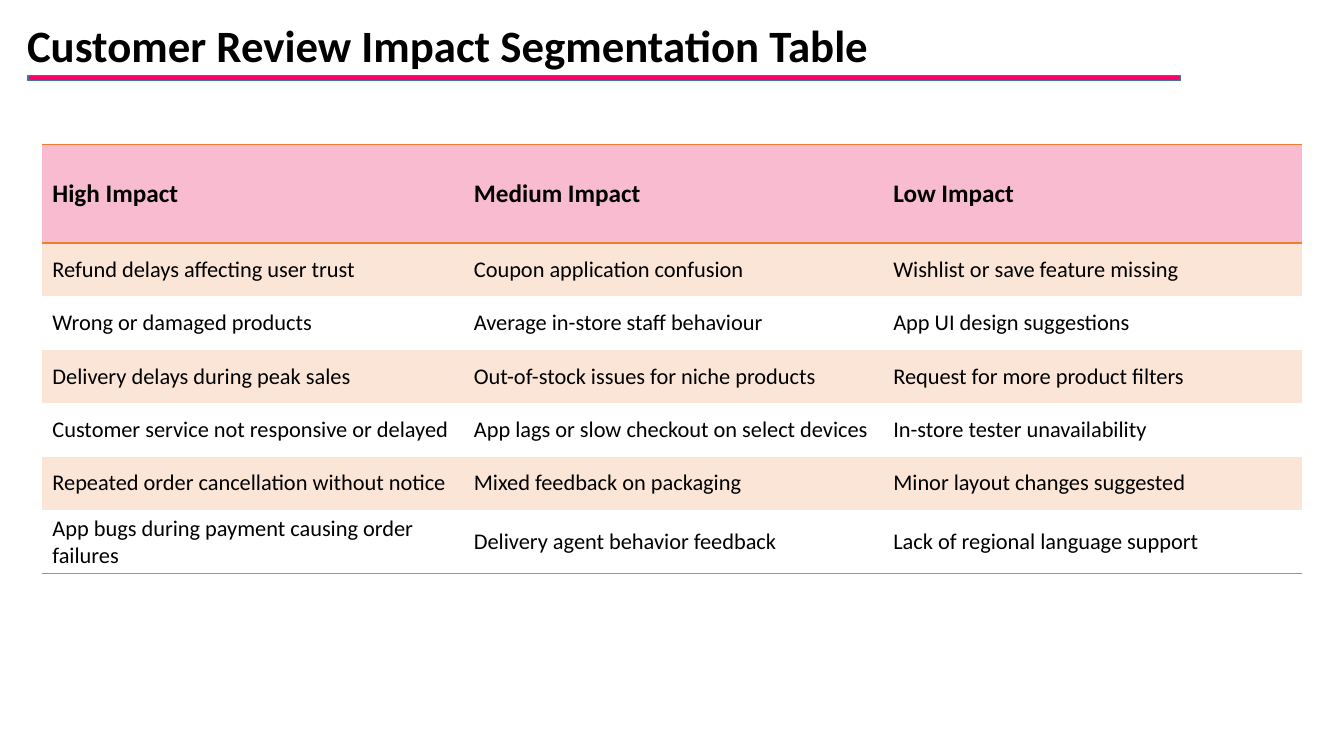
from lxml.etree import SubElement
from pptx import Presentation
from pptx.dml.color import RGBColor
from pptx.enum.shapes import MSO_SHAPE as Shape
from pptx.enum.text import MSO_ANCHOR as Anchor
from pptx.oxml import parse_xml
from pptx.oxml.ns import nsdecls, qn
from pptx.util import Inches, Pt

FONT = "Calibri"
BLACK, PINK, MAGENTA = "000000", "F8BBD0", "FF0066"
ORANGE, PEACH, BLUE = "ED7D31", "FBE5D6", "43739E"
PLAIN_STYLE = "{2D5ABB26-0587-4C30-8999-92F81FD0307C}"

COLUMN_WIDTHS = [4.18, 4.16, 4.15]
HEADER_HEIGHT, ROW_HEIGHT = 0.98, 0.53
IMPACTS = [
    ("High Impact", "Medium Impact", "Low Impact"),
    ("Refund delays affecting user trust", "Coupon application confusion",
     "Wishlist or save feature missing"),
    ("Wrong or damaged products", "Average in-store staff behaviour",
     "App UI design suggestions"),
    ("Delivery delays during peak sales", "Out-of-stock issues for niche products",
     "Request for more product filters"),
    ("Customer service not responsive or delayed",
     "App lags or slow checkout on select devices", "In-store tester unavailability"),
    ("Repeated order cancellation without notice", "Mixed feedback on packaging",
     "Minor layout changes suggested"),
    ("App bugs during payment causing order failures",
     "Delivery agent behavior feedback", "Lack of regional language support"),
]


def color(hex_code):
    return RGBColor.from_string(hex_code)


def add_run(paragraph, text, size, bold=False):
    run = paragraph.add_run()
    run.text = text
    run.font.name, run.font.size, run.font.bold = FONT, Pt(size), bold
    run.font.color.rgb = color(BLACK)


def add_border(cell, side, hex_code):
    """Draw a 1 pt edge; borders must precede the cell's fill."""
    properties = cell._tc.get_or_add_tcPr()
    border = parse_xml(
        f'<a:{side} {nsdecls("a")} w="12700"><a:solidFill>'
        f'<a:srgbClr val="{hex_code}"/></a:solidFill></a:{side}>')
    properties.insert(len(properties.findall(qn("a:lnT"))), border)


def add_heading(slide, left, top, width, height):
    # Title
    title = slide.shapes.add_textbox(
        Inches(left), Inches(top), Inches(width), Inches(height)).text_frame
    title.word_wrap = True
    title.vertical_anchor = Anchor.MIDDLE
    title.paragraphs[0].line_spacing = 0.9
    add_run(title.paragraphs[0], "Customer Review Impact Segmentation Table", 32, True)

    # Underline
    underline = slide.shapes.add_shape(
        Shape.RECTANGLE, Inches(left + 0.11), Inches(top + 1), Inches(11.43), Inches(0.05))
    underline.shadow.inherit = False
    underline.fill.solid()
    underline.fill.fore_color.rgb = color(MAGENTA)
    underline.line.color.rgb = color(BLUE)
    underline.line.width = Pt(1)


def add_impact_table(slide, left, top, width, height):
    impact_table = slide.shapes.add_table(
        len(IMPACTS), len(COLUMN_WIDTHS),
        Inches(left), Inches(top), Inches(width), Inches(height)).table
    impact_table.horz_banding = False
    impact_table._tbl.tblPr.find(qn("a:tableStyleId")).text = PLAIN_STYLE

    for column, column_width in zip(impact_table.columns, COLUMN_WIDTHS):
        column.width = Inches(column_width)

    # Header row, then alternating bands
    for row_index, labels in enumerate(IMPACTS):
        is_header = row_index == 0
        is_last = row_index == len(IMPACTS) - 1
        impact_table.rows[row_index].height = Inches(
            HEADER_HEIGHT if is_header else ROW_HEIGHT)
        for column_index, label in enumerate(labels):
            cell = impact_table.cell(row_index, column_index)
            cell.vertical_anchor = Anchor.MIDDLE
            add_run(cell.text_frame.paragraphs[0], label,
                    18 if is_header else 16, is_header)
            if is_header or row_index % 2:
                cell.fill.solid()
                cell.fill.fore_color.rgb = color(PINK if is_header else PEACH)
            else:
                cell.fill.background()
            if is_header:
                add_border(cell, "lnT", ORANGE)
            if is_header or is_last:
                add_border(cell, "lnB", ORANGE)


def main():
    deck = Presentation()
    deck.slide_width, deck.slide_height = Inches(13.33), Inches(7.5)
    slide = deck.slides.add_slide(deck.slide_layouts[6])
    add_heading(slide, 0.17, -0.25, 13.16, 1.45)
    add_impact_table(slide, 0.42, 1.43, sum(COLUMN_WIDTHS),
                     HEADER_HEIGHT + ROW_HEIGHT * (len(IMPACTS) - 1))
    deck.save("out.pptx")


if __name__ == "__main__":
    main()
